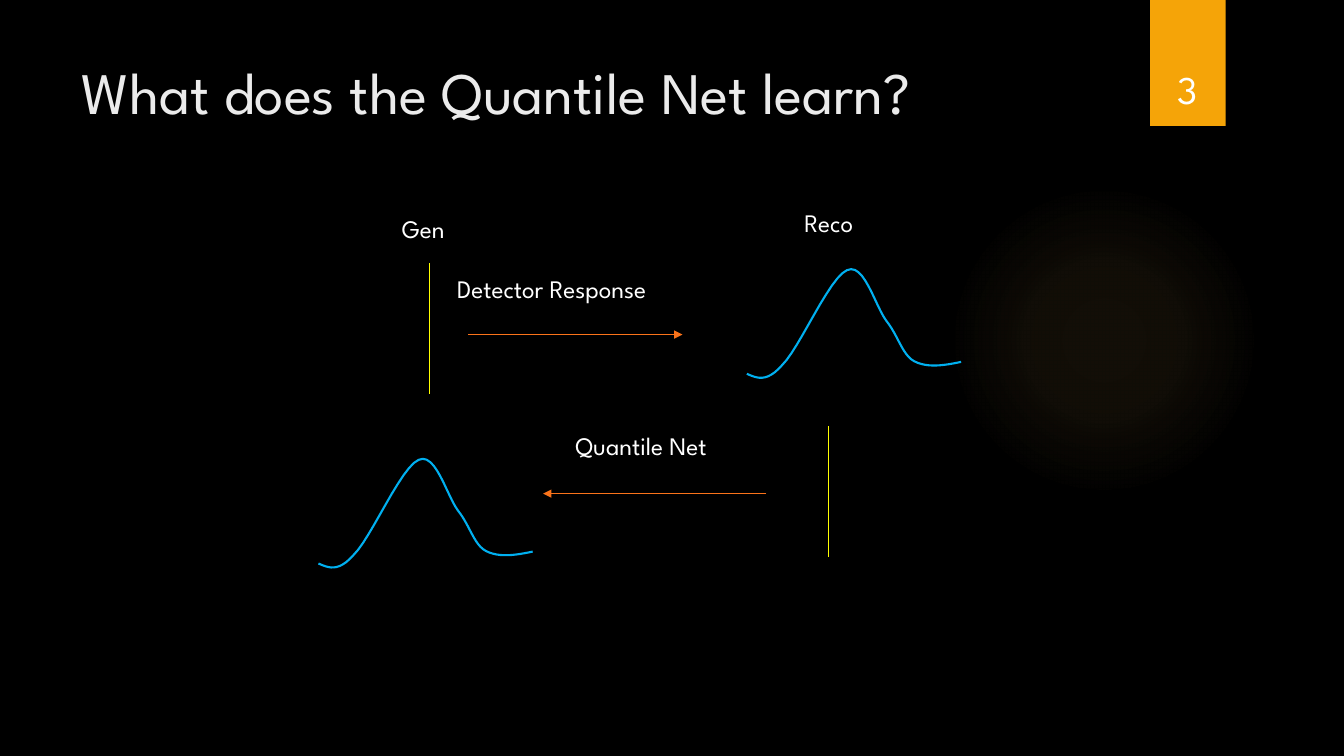
"""Build the slide on what the Quantile Net learns."""
from lxml.etree import SubElement
from pptx import Presentation
from pptx.dml.color import RGBColor
from pptx.enum.shapes import MSO_CONNECTOR, MSO_SHAPE
from pptx.enum.text import MSO_ANCHOR, MSO_AUTO_SIZE, PP_ALIGN
from pptx.oxml import parse_xml
from pptx.oxml.ns import nsdecls, qn
from pptx.util import Pt

FONT = "League Spartan"
WHITE, ORANGE, YELLOW, BLUE = "FFFFFF", "FA731A", "FFFF00", "00B0F0"
GLOW = ((0, 7), (36, 6), (69, 0))
BELL = (
    ((7, 3), (14, 6.5), (25, -6)),
    ((37.5, -18), (59, -69), (71.5, -74)),
    ((83.5, -80), (91.5, -49), (99.5, -38)),
    ((108, -27.5), (111, -13.5), (119.5, -9)),
    ((129, -4), (141, -6), (153, -8.5)),
)
STEPS = 12


def color(code):
    return RGBColor.from_string(code)


def write(shape, text, size, code=WHITE, align=PP_ALIGN.LEFT, anchor=MSO_ANCHOR.TOP):
    frame = shape.text_frame
    frame.text = text
    frame.vertical_anchor = anchor
    para = frame.paragraphs[0]
    para.alignment = align
    para.font.name, para.font.size = FONT, Pt(size)
    para.font.color.rgb = color(code)
    return frame


def add_title(slide, text):
    title = slide.shapes.title
    title.left, title.top, title.width, title.height = Pt(51), Pt(36), Pt(741), Pt(110)
    frame = write(title, text, 42, "EBEBEB")
    frame.auto_size = MSO_AUTO_SIZE.NONE
    frame.word_wrap = True


def add_label(slide, text, x, y, width):
    box = slide.shapes.add_textbox(Pt(x), Pt(y), Pt(width), Pt(29))
    frame = write(box, text, 18)
    frame.word_wrap = False
    frame.auto_size = MSO_AUTO_SIZE.SHAPE_TO_FIT_TEXT


def add_number(slide, text):
    box = slide.shapes.add_textbox(Pt(815), Pt(23), Pt(66), Pt(60.5))
    frame = write(box, text, 28, align=PP_ALIGN.CENTER, anchor=MSO_ANCHOR.BOTTOM)
    frame.word_wrap = True


def add_plain(slide, kind, x, y, width, height):
    shape = slide.shapes.add_shape(kind, Pt(x), Pt(y), Pt(width), Pt(height))
    shape.shadow.inherit = False
    shape.line.fill.background()
    return shape


def add_glow(slide):
    shape = add_plain(slide, MSO_SHAPE.OVAL, 677.5, 132, 222, 222)
    stops = "".join(
        f'<a:gs pos="{pos * 1000}"><a:srgbClr val="FAC96A">'
        f'<a:alpha val="{alpha * 1000}"/></a:srgbClr></a:gs>'
        for pos, alpha in GLOW
    )
    fill = parse_xml(
        f'<a:gradFill {nsdecls("a")}><a:gsLst>{stops}</a:gsLst><a:path path="circle">'
        '<a:fillToRect l="50000" t="50000" r="50000" b="50000"/></a:path></a:gradFill>'
    )
    shape._element.spPr.find(qn("a:prstGeom")).addnext(fill)


def add_line(slide, x1, y1, x2, y2, code, arrow=False):
    line = slide.shapes.add_connector(
        MSO_CONNECTOR.STRAIGHT, Pt(x1), Pt(y1), Pt(x2), Pt(y2)
    )
    line.line.color.rgb = color(code)
    line.line.width = Pt(0.75)
    if arrow:
        SubElement(line.line._get_or_add_ln(), qn("a:tailEnd"), type="triangle")
    SubElement(line._element.spPr, qn("a:effectLst"))


def bezier(a, b, c, d, t):
    s = 1 - t
    return s**3 * a + 3 * s * s * t * b + 3 * s * t * t * c + t**3 * d


def add_bell(slide, x, y):
    points, start = [], (0, 0)
    for curve in BELL:
        xs, ys = zip(start, *curve)
        for step in range(1, STEPS + 1):
            t = step / STEPS
            points.append((Pt(x + bezier(*xs, t)), Pt(y + bezier(*ys, t))))
        start = curve[-1]
    form = slide.shapes.build_freeform(Pt(x), Pt(y))
    form.add_line_segments(points, close=False)
    bell = form.convert_to_shape()
    bell.shadow.inherit = False
    bell.fill.background()
    bell.line.color.rgb = color(BLUE)
    bell.line.width = Pt(1.5)


def main():
    deck = Presentation()
    deck.slide_width, deck.slide_height = Pt(960), Pt(540)
    slide = deck.slides.add_slide(deck.slide_layouts[5])
    back = slide.background.fill
    back.solid()
    back.fore_color.rgb = color("000000")

    add_glow(slide)
    tab = add_plain(slide, MSO_SHAPE.RECTANGLE, 821.5, 0, 54, 90)
    tab.fill.solid()
    tab.fill.fore_color.rgb = color("F5A408")
    add_title(slide, "What does the Quantile Net learn?")
    add_number(slide, "3")

    add_label(slide, "Gen", 280, 149, 53)
    add_label(slide, "Reco", 567.5, 144.5, 61)
    add_label(slide, "Detector Response", 319.5, 192, 182)
    add_label(slide, "Quantile Net", 404, 304, 127)

    add_line(slide, 306.7, 188, 306.7, 281.5, YELLOW)
    add_line(slide, 591.8, 304.5, 591.8, 398, YELLOW)
    add_line(slide, 334.5, 239, 487.5, 239, ORANGE, arrow=True)
    add_line(slide, 547.5, 352.6, 388, 352.6, ORANGE, arrow=True)
    add_bell(slide, 533.5, 267)
    add_bell(slide, 227.5, 402.5)
    deck.save("out.pptx")


if __name__ == "__main__":
    main()
